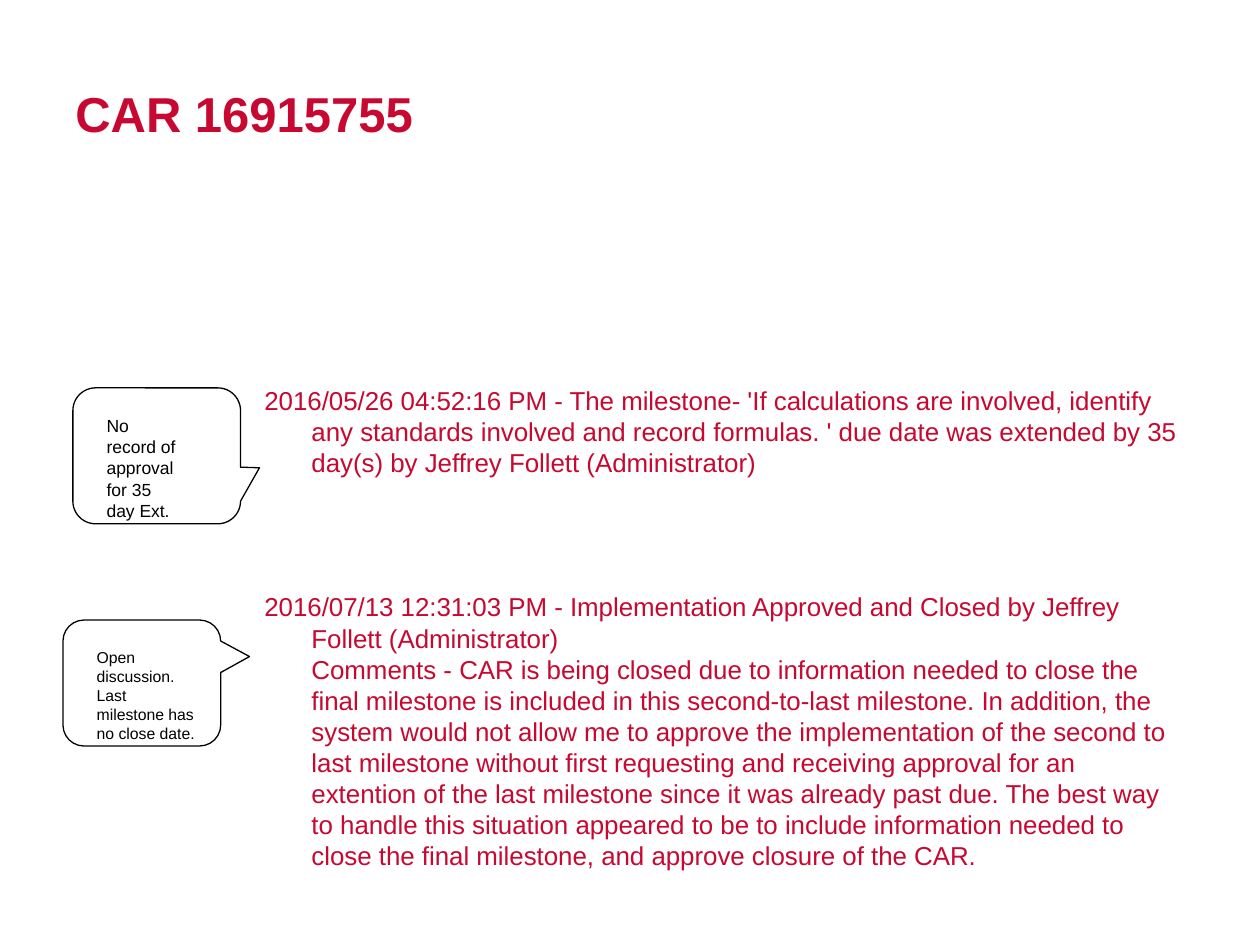
from dataclasses import dataclass

from pptx import Presentation
from pptx.dml.color import RGBColor
from pptx.enum.shapes import MSO_SHAPE
from pptx.enum.text import MSO_ANCHOR
from pptx.shapes.autoshape import Shape
from pptx.slide import Slide
from pptx.util import Cm, Pt


@dataclass(frozen=True)
class Theme:
    font: str = "Arial"
    red: RGBColor = RGBColor(0xC7, 0x09, 0x32)
    black: RGBColor = RGBColor(0, 0, 0)
    title: float = 28
    body: float = 14.8
    line: float = 0.75
    hang: float = 0.95
    gap: float = 65
    inset: float = 0.43


@dataclass(frozen=True)
class Box:
    """Place and size in centimetres."""
    left: float
    top: float
    width: float
    height: float


@dataclass(frozen=True)
class Note:
    frame: Box
    tip: tuple[float, float]
    text: str
    area: tuple[float, float]
    size: float


THEME = Theme()

LOG = [
    "2016/05/26 04:52:16 PM - The milestone- 'If calculations are involved, "
    "identify any standards involved and record formulas. ' due date was "
    "extended by 35 day(s) by Jeffrey Follett (Administrator)",
    "2016/07/13 12:31:03 PM - Implementation Approved and Closed by Jeffrey "
    "Follett (Administrator)\vComments - CAR is being closed due to "
    "information needed to close the final milestone is included in this "
    "second-to-last milestone. In addition, the system would not allow me to "
    "approve the implementation of the second to last milestone without first "
    "requesting and receiving approval for an extention of the last milestone "
    "since it was already past due. The best way to handle this situation "
    "appeared to be to include information needed to close the final "
    "milestone, and approve closure of the CAR.",
]

NOTES = [
    Note(Box(1.47, 7.82, 3.38, 2.74), (0.613, 0.088),
         "No record of approval for 35 day Ext.", (2.01, 2.39), 10),
    Note(Box(1.27, 12.5, 3.18, 2.54), (0.683, -0.21),
         "Open discussion. Last milestone has no close date.",
         (2.54, 2.18), 9),
]


def add_text(slide: Slide, box: Box, lines: list[str], size: float,
             color: RGBColor, bold: bool = False) -> Shape:
    shape = slide.shapes.add_textbox(
        Cm(box.left), Cm(box.top), Cm(box.width), Cm(box.height))
    frame = shape.text_frame
    frame.word_wrap = True
    frame.vertical_anchor = MSO_ANCHOR.TOP
    frame.text = "\n".join(lines)
    for para in frame.paragraphs:
        font = para.font
        font.name, font.size, font.bold = THEME.font, Pt(size), bold
        font.color.rgb = color
    return shape


def add_log(slide: Slide, box: Box) -> None:
    """Add the dated entries, each with a hanging indent."""
    shape = add_text(slide, box, LOG, THEME.body, THEME.red)
    for rank, para in enumerate(shape.text_frame.paragraphs):
        props = para._p.get_or_add_pPr()
        props.set("marL", str(Cm(THEME.hang)))
        props.set("indent", str(-Cm(THEME.hang)))
        if rank:
            para.space_before = Pt(THEME.gap)


def add_note(slide: Slide, note: Note) -> None:
    box = note.frame
    shape = slide.shapes.add_shape(
        MSO_SHAPE.ROUNDED_RECTANGULAR_CALLOUT,
        Cm(box.left), Cm(box.top), Cm(box.width), Cm(box.height))
    for rank, value in enumerate((*note.tip, 0.167)):
        shape.adjustments[rank] = value
    shape.shadow.inherit = False
    shape.fill.background()
    shape.line.color.rgb = THEME.black
    shape.line.width = Pt(THEME.line)
    area = Box(box.left + THEME.inset, box.top + THEME.inset, *note.area)
    add_text(slide, area, [note.text], note.size, THEME.black)


def main() -> None:
    deck = Presentation()
    deck.slide_width, deck.slide_height = Cm(25.4), Cm(19.05)
    slide = deck.slides.add_slide(deck.slide_layouts[6])
    add_text(slide, Box(1.27, 1.55, 16.51, 3.18), ["CAR 16915755"],
             THEME.title, THEME.red, bold=True)
    add_log(slide, Box(5.08, 7.62, 19.05, 9.5))
    for note in NOTES:
        add_note(slide, note)
    deck.save("out.pptx")


if __name__ == "__main__":
    main()
